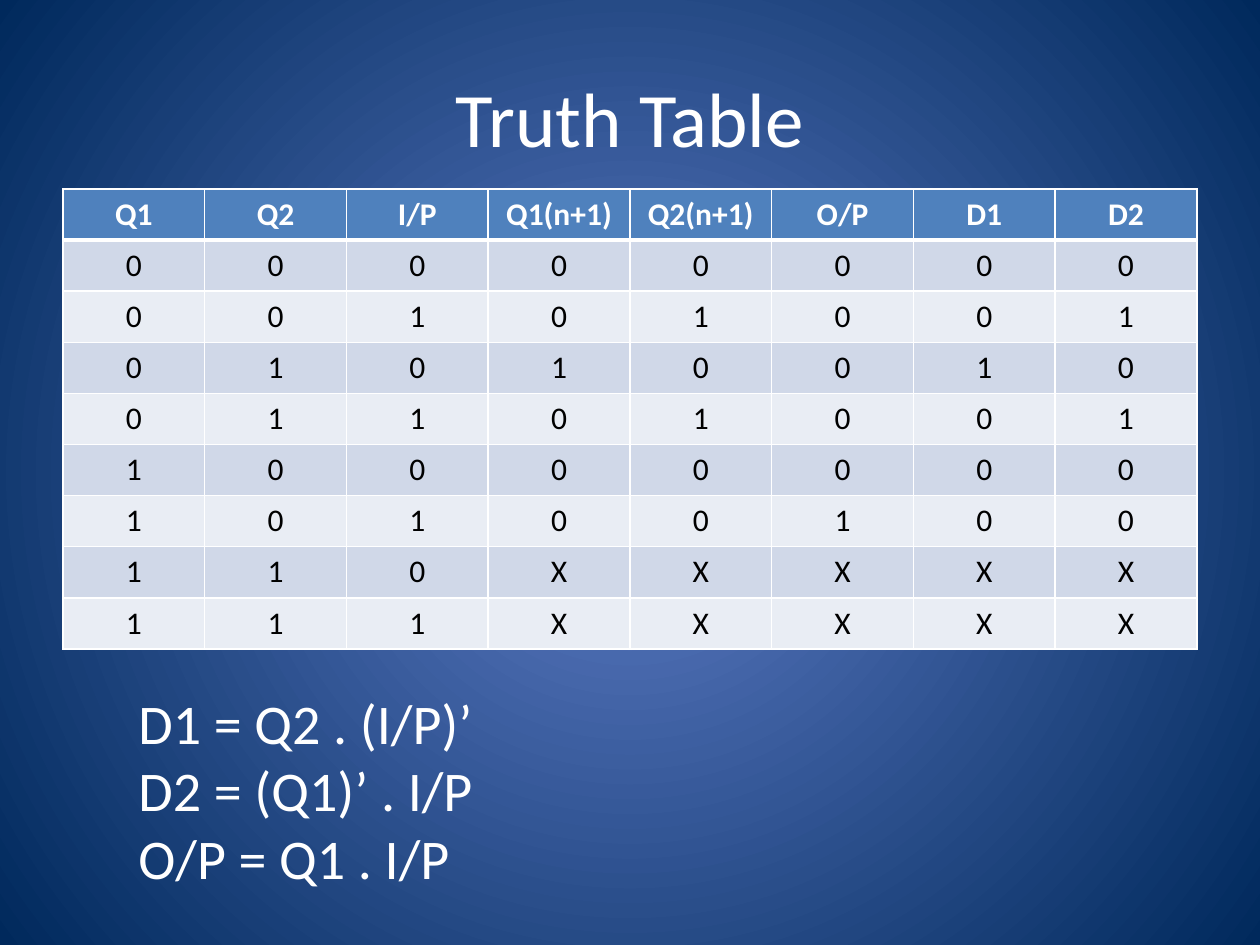
"""Build the truth table slide with its three output equations."""
from lxml.etree import SubElement
from pptx import Presentation
from pptx.dml.color import RGBColor
from pptx.enum.text import MSO_ANCHOR as Anchor, PP_ALIGN as Align
from pptx.oxml.ns import qn
from pptx.util import Pt

WHITE = RGBColor(0xFF, 0xFF, 0xFF)
BLACK = RGBColor(0x00, 0x00, 0x00)
GLOW = RGBColor(0x5E, 0x7C, 0xC5)
NAVY = RGBColor(0x00, 0x29, 0x5C)
HEADER_BLUE = RGBColor(0x4F, 0x81, 0xBD)
BANDS = (RGBColor(0xE9, 0xED, 0xF4), RGBColor(0xD0, 0xD8, 0xE8))

COLUMN_WIDTH, ROW_HEIGHT = 81, 29.2
TRUTH_ROWS = [
    ("Q1", "Q2", "I/P", "Q1(n+1)", "Q2(n+1)", "O/P", "D1", "D2"),
    "00000000",
    "00101001",
    "01010010",
    "01101001",
    "10000000",
    "10100100",
    "110XXXXX",
    "111XXXXX",
]
EQUATIONS = ["D1 = Q2 . (I/P)’", "D2 = (Q1)’ . I/P", "O/P = Q1 . I/P"]


def paint_background(slide):
    fill = slide.background.fill
    fill.gradient()
    for stop, color in zip(fill.gradient_stops, (GLOW, NAVY)):
        stop.color.rgb = color
    gradient = slide.element.find(".//" + qn("a:gradFill"))
    gradient.remove(gradient.find(qn("a:lin")))
    circle = SubElement(gradient, qn("a:path"), path="circle")
    SubElement(circle, qn("a:fillToRect"), dict.fromkeys("ltrb", "50000"))


def write_lines(frame, lines, size, color=WHITE, align=Align.LEFT, bold=False):
    for index, line in enumerate(lines):
        paragraph = frame.add_paragraph() if index else frame.paragraphs[0]
        paragraph.alignment = align
        run = paragraph.add_run()
        run.text = line
        run.font.color.rgb = color
        for name, value in {"name": "Calibri", "size": Pt(size), "bold": bold}.items():
            setattr(run.font, name, value)


def add_text(slide, box, lines, size, align=Align.LEFT, anchor=Anchor.TOP):
    frame = slide.shapes.add_textbox(*map(Pt, box)).text_frame
    for name, value in {"word_wrap": True, "vertical_anchor": anchor}.items():
        setattr(frame, name, value)
    write_lines(frame, lines, size, align=align)


def set_borders(cell, widths):
    properties = cell._tc.get_or_add_tcPr()
    for side, width in widths.items():
        line = SubElement(properties, qn("a:ln" + side), w=str(Pt(width)))
        solid = SubElement(line, qn("a:solidFill"))
        SubElement(solid, qn("a:srgbClr"), val=str(WHITE))


def add_truth_table(slide, left, top):
    row_count, column_count = len(TRUTH_ROWS), len(TRUTH_ROWS[0])
    size = (column_count * COLUMN_WIDTH, row_count * ROW_HEIGHT)
    table = slide.shapes.add_table(
        row_count, column_count, *map(Pt, (left, top, *size))).table
    for row_index, values in enumerate(TRUTH_ROWS):
        header = row_index == 0
        for column_index, value in enumerate(values):
            cell = table.cell(row_index, column_index)
            set_borders(cell, {"L": 1, "R": 1, "T": 3 if row_index == 1 else 1,
                               "B": 3 if header else 1})
            cell.fill.solid()
            cell.fill.fore_color.rgb = HEADER_BLUE if header else BANDS[row_index % 2]
            write_lines(cell.text_frame, [value], 18, WHITE if header else BLACK,
                        Align.CENTER, header)


def main():
    deck = Presentation()
    for name, value in {"slide_width": Pt(720), "slide_height": Pt(540)}.items():
        setattr(deck, name, value)
    slide = deck.slides.add_slide(deck.slide_layouts[6])
    paint_background(slide)
    add_text(slide, (36, 21.6, 648, 90), ["Truth Table"], 44, Align.CENTER, Anchor.MIDDLE)
    add_truth_table(slide, 36, 108)
    add_text(slide, (72, 390, 240, 124), EQUATIONS, 32)
    deck.save("out.pptx")


main()
